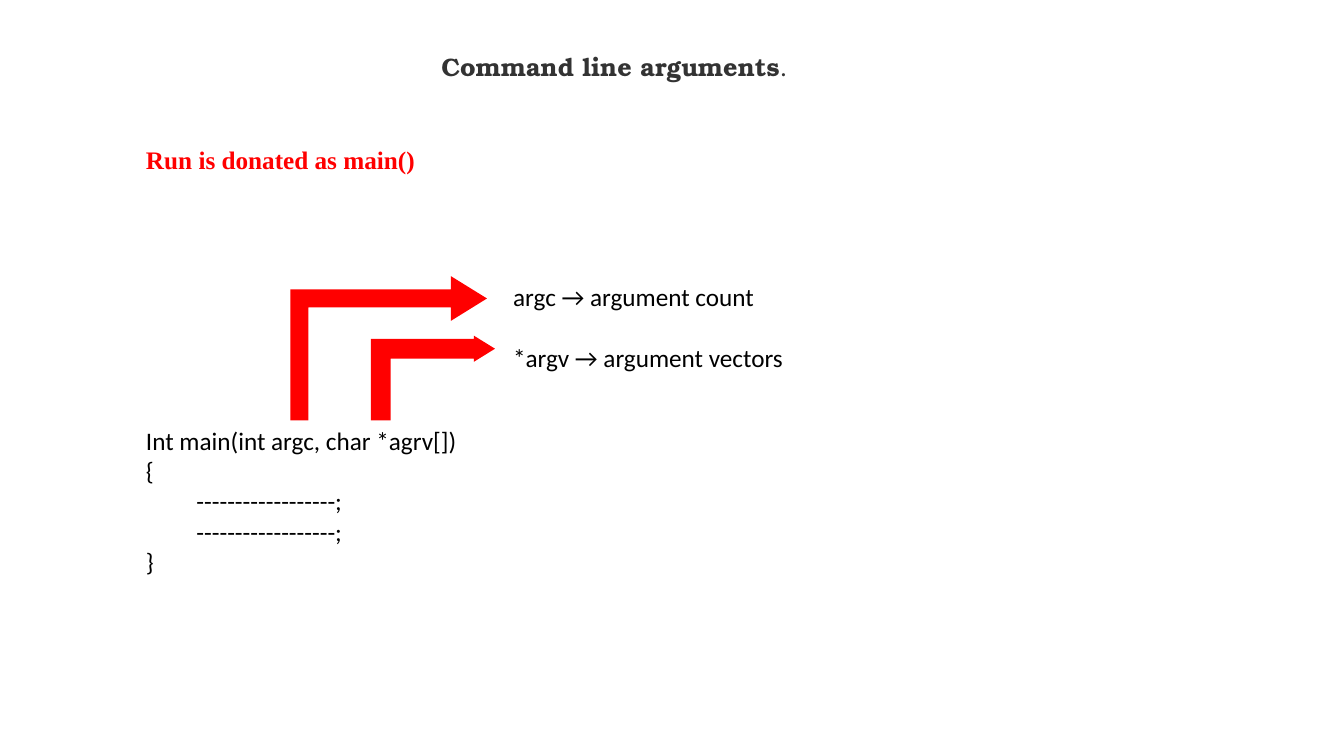
from pptx import Presentation
from pptx.dml.color import RGBColor as RGB
from pptx.enum.shapes import MSO_SHAPE as Shape
from pptx.util import Inches, Pt

theme = {
    "size": Pt(18),
    "gap": Pt(22),
    "title": {"font": "TeX Gyre Bonum", "color": RGB(0x33, 0x33, 0x33)},
    "head": {"font": "Times New Roman", "color": RGB(0xFF, 0, 0)},
    "body": {"font": "Calibri", "color": RGB(0, 0, 0)},
    "arrow": RGB(0xFF, 0, 0),
}

deck = Presentation()
deck.slide_width, deck.slide_height = Inches(13.33), Inches(7.5)
slide = deck.slides.add_slide(deck.slide_layouts[6])


def add_text(place, style, lines, gap=0):
    """Add a text box; each line is a list of (text, bold) runs."""
    frame = slide.shapes.add_textbox(*map(Inches, place)).text_frame
    frame.word_wrap = True
    for i, line in enumerate(lines):
        para = frame.paragraphs[0] if i == 0 else frame.add_paragraph()
        para.space_before = gap if i else 0
        for text, bold in line:
            run = para.add_run()
            run.text = text
            format = {"name": style["font"], "size": theme["size"], "bold": bold}
            for key, value in format.items():
                setattr(run.font, key, value)
            run.font.color.rgb = style["color"]


# Title and heading
add_text((4.28, 0.46, 6.67, 0.4), theme["title"],
         [[("Command line arguments", True), (".", False)]])
add_text((1.35, 1.38, 4.47, 0.4), theme["head"],
         [[("Run is donated as main()", True)]])

# Code of main
dashes = "\t" + "-" * 18 + ";"
code = ["Int main(int argc, char *agrv[])", "{", dashes, dashes, "}"]
add_text((1.35, 4.17, 9.87, 1.62), theme["body"],
         [[(line, False)] for line in code])

# Meaning of each argument
notes = ["argc → argument count", "*argv → argument vectors"]
add_text((4.99, 2.74, 6.23, 1.01), theme["body"],
         [[(note, False)] for note in notes], theme["gap"])

# Arrows from the arguments to their meanings
arrows = [
    ((2.88, 2.74, 1.95, 1.43), 0.125),
    ((3.68, 3.33, 1.23, 0.84), 0.232),
]
for place, shaft in arrows:
    arrow = slide.shapes.add_shape(Shape.BENT_ARROW, *map(Inches, place))
    for i, value in enumerate((shaft, 0.155, 0.25, 0)):
        arrow.adjustments[i] = value
    arrow.shadow.inherit = False
    arrow.fill.solid()
    arrow.fill.fore_color.rgb = theme["arrow"]
    arrow.line.fill.background()

deck.save("out.pptx")
